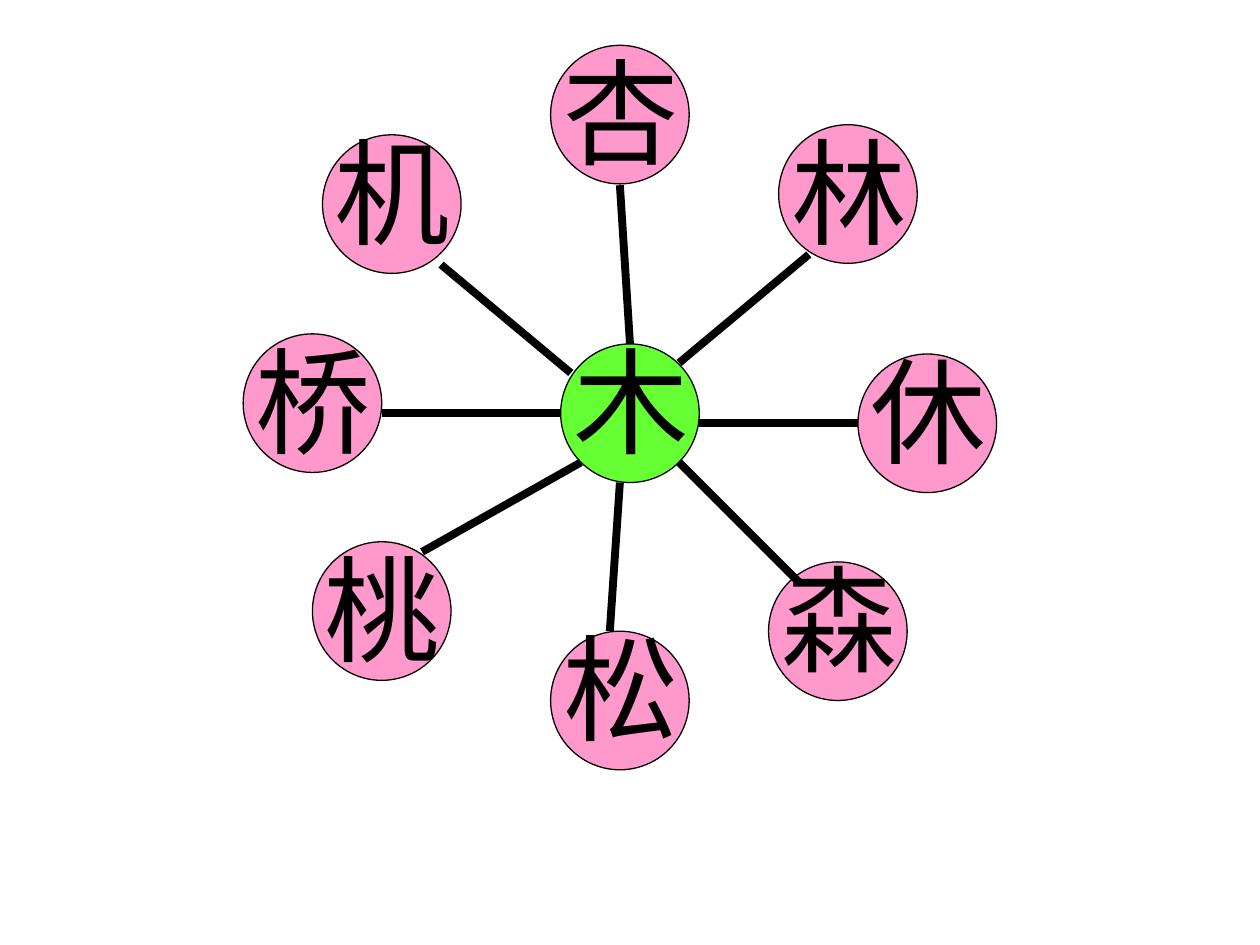
from pptx import Presentation
from pptx.dml.color import RGBColor
from pptx.enum.shapes import MSO_CONNECTOR, MSO_SHAPE
from pptx.enum.text import MSO_AUTO_SIZE
from pptx.oxml.ns import qn
from pptx.util import Inches, Pt
from lxml import etree

OVAL = MSO_SHAPE.OVAL
LINE = MSO_CONNECTOR.STRAIGHT
GROW = MSO_AUTO_SIZE.SHAPE_TO_FIT_TEXT

COLORS = {"root": "66FF33", "leaf": "FF99CC", "ink": "000000"}
SIZE = 1.1

ROOT = ("木", 4.45, 2.73, 0.16)
LEAVES = [
    ("林", 6.18, 0.99, 0.08),
    ("休", 6.81, 2.81, 0.16),
    ("森", 6.1, 4.46, 0.16),
    ("松", 4.37, 5.01, 0.16),
    ("桃", 2.48, 4.3, 0.08),
    ("桥", 1.93, 2.65, 0.08),
    ("机", 2.56, 1.07, 0.16),
    ("杏", 4.37, 0.36, 0.08),
]
SPOKES = [
    (3.03, 3.28, 4.45, 3.28),
    (3.5, 2.1, 4.53, 2.96),
    (3.35, 4.38, 4.61, 3.67),
    (4.84, 5.01, 4.92, 3.83),
    (4.92, 1.47, 5, 2.73),
    (5.39, 2.88, 6.42, 2.02),
    (5.39, 3.67, 6.34, 4.62),
    (5.55, 3.36, 6.81, 3.36),
]


def color(name):
    return RGBColor.from_string(COLORS[name])


def add_disc(slide, left, top, fill):
    disc = slide.shapes.add_shape(
        OVAL, Inches(left), Inches(top), Inches(SIZE), Inches(SIZE))
    disc.shadow.inherit = False
    disc.fill.solid()
    disc.fill.fore_color.rgb = color(fill)
    disc.line.color.rgb = color("ink")
    disc.line.width = Pt(0.75)


def add_spoke(slide, ends):
    spoke = slide.shapes.add_connector(LINE, *map(Inches, ends))
    spoke.line.color.rgb = color("ink")
    spoke.line.width = Pt(4.5)
    etree.SubElement(spoke._element.spPr, qn("a:effectLst"))


def add_glyph(slide, glyph, left, top):
    box = slide.shapes.add_textbox(
        Inches(left), Inches(top), Inches(1.18), Inches(1.2))
    frame = box.text_frame
    frame.word_wrap = True
    frame.auto_size = GROW
    frame.text = glyph
    font = frame.paragraphs[0].runs[0].font
    font.name = "Arial"
    font.size = Pt(66)
    font.color.rgb = color("ink")


def main():
    deck = Presentation()
    deck.slide_width = Inches(10)
    deck.slide_height = Inches(7.5)
    slide = deck.slides.add_slide(deck.slide_layouts[6])

    add_disc(slide, ROOT[1], ROOT[2], "root")
    for _, left, top, _ in LEAVES:
        add_disc(slide, left, top, "leaf")
    for ends in SPOKES:
        add_spoke(slide, ends)
    for glyph, left, top, lift in LEAVES + [ROOT]:
        add_glyph(slide, glyph, left, top - lift)

    deck.save("out.pptx")


if __name__ == "__main__":
    main()
